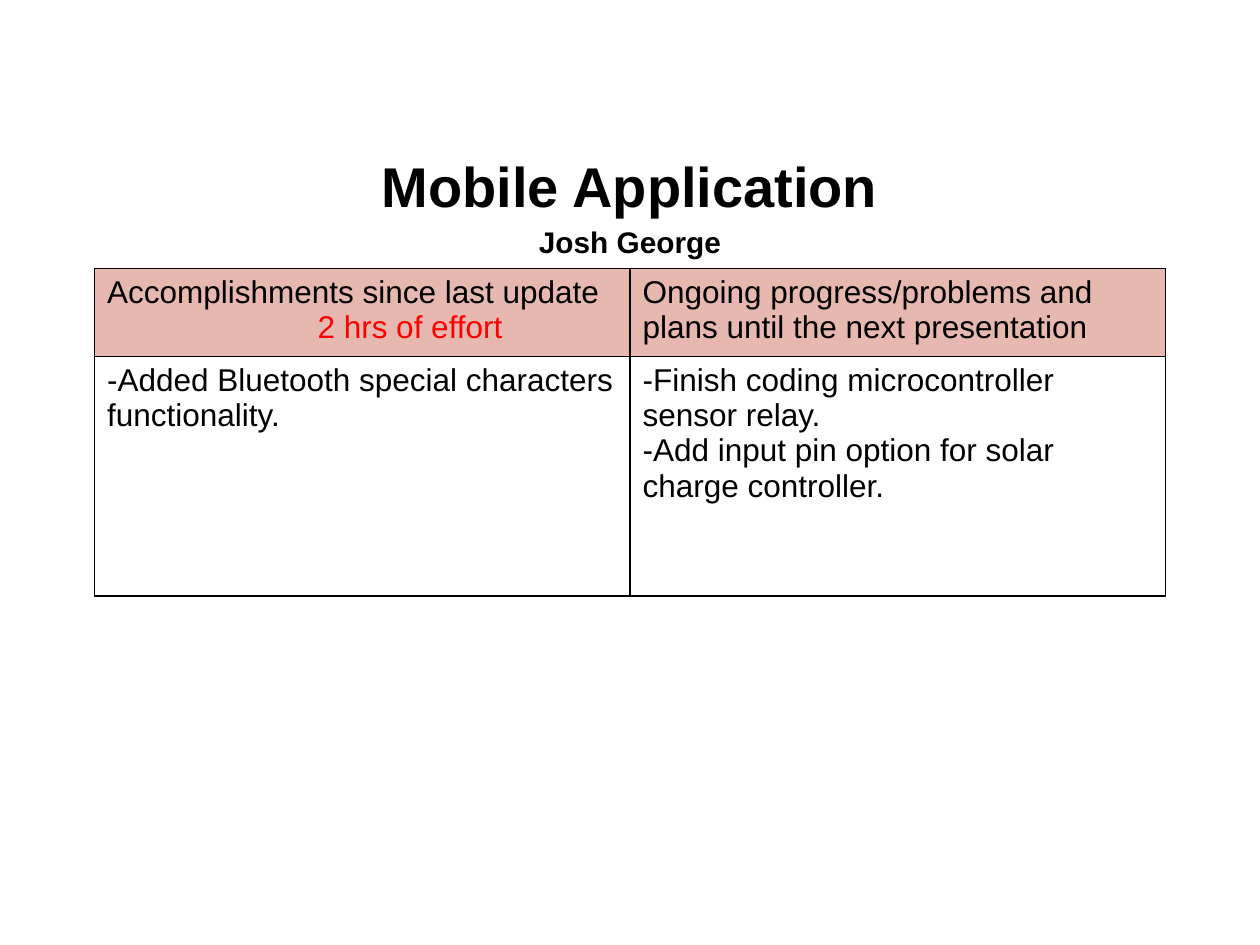
from dataclasses import dataclass
from typing import Optional

from lxml import etree
from pptx import Presentation
from pptx import util as u
from pptx.dml.color import RGBColor
from pptx.enum import text
from pptx.oxml import ns


@dataclass(frozen=True)
class Theme:
    font: str = "Arial"
    ink: str = "000000"
    effort: str = "FF0000"
    header: str = "E6B8AF"
    title_size: float = 32
    author_size: float = 17
    body_size: float = 18
    border: float = 1


@dataclass(frozen=True)
class Line:
    words: str
    size: float
    color: str
    bold: bool = False
    indent: float = 0


@dataclass(frozen=True)
class Entry:
    lines: tuple[Line, ...]
    fill: Optional[str] = None


THEME = Theme()


def body(words: str, color: str = THEME.ink, indent: float = 0) -> Line:
    return Line(words, THEME.body_size, color, indent=indent)


HEADING = (
    Line("Mobile Application", THEME.title_size, THEME.ink, bold=True),
    Line("Josh George", THEME.author_size, THEME.ink, bold=True),
)
ROWS = (
    (
        Entry((body("Accomplishments since last update"),
               body("2 hrs of effort", THEME.effort, indent=1.67)), THEME.header),
        Entry((body("Ongoing progress/problems and plans until the next presentation"),),
              THEME.header),
    ),
    (
        Entry((body("-Added Bluetooth special characters functionality."),)),
        Entry((body("-Finish coding microcontroller sensor relay."),
               body("-Add input pin option for solar charge controller."))),
    ),
)
ROW_HEIGHTS = (0.7, 1.9)
COLUMN_WIDTH = 4.25


def write(frame, lines: tuple[Line, ...], align, spacing: float = 1.0) -> None:
    for index, line in enumerate(lines):
        paragraph = frame.paragraphs[0] if index == 0 else frame.add_paragraph()
        paragraph.text = line.words
        paragraph.alignment = align
        paragraph.line_spacing = spacing
        paragraph.space_before = u.Pt(0)
        if line.indent:
            paragraph._p.get_or_add_pPr().set("marL", str(u.Inches(line.indent)))
        paragraph.font.name = THEME.font
        paragraph.font.size = u.Pt(line.size)
        paragraph.font.bold = line.bold
        paragraph.font.color.rgb = RGBColor.from_string(line.color)


def outline(cell) -> None:
    properties = cell._tc.get_or_add_tcPr()
    for side in ("a:lnL", "a:lnR", "a:lnT", "a:lnB"):
        edge = etree.SubElement(properties, ns.qn(side), w=str(u.Pt(THEME.border)))
        fill = etree.SubElement(edge, ns.qn("a:solidFill"))
        etree.SubElement(fill, ns.qn("a:srgbClr"), val=THEME.ink)


def draw_entry(cell, entry: Entry) -> None:
    outline(cell)
    if entry.fill:
        cell.fill.solid()
        cell.fill.fore_color.rgb = RGBColor.from_string(entry.fill)
    else:
        cell.fill.background()
    write(cell.text_frame, entry.lines, text.PP_ALIGN.LEFT)


def draw_heading(slide) -> None:
    title = slide.shapes.title
    title.left, title.top = u.Inches(0.5), u.Inches(1.15)
    title.width, title.height = u.Inches(9), u.Inches(0.88)
    frame = title.text_frame
    frame.auto_size = text.MSO_AUTO_SIZE.NONE
    frame.vertical_anchor = text.MSO_ANCHOR.MIDDLE
    write(frame, HEADING, text.PP_ALIGN.CENTER, spacing=1.15)


def draw_status(slide) -> None:
    columns = len(ROWS[0])
    status = slide.shapes.add_table(
        len(ROWS), columns, u.Inches(0.75), u.Inches(2.13),
        u.Inches(columns * COLUMN_WIDTH), u.Inches(sum(ROW_HEIGHTS))).table
    status.first_row = False
    status.horz_banding = False
    for column in status.columns:
        column.width = u.Inches(COLUMN_WIDTH)
    for row, height, entries in zip(status.rows, ROW_HEIGHTS, ROWS):
        row.height = u.Inches(height)
        for cell, entry in zip(row.cells, entries):
            draw_entry(cell, entry)


def main() -> None:
    deck = Presentation()
    deck.slide_width, deck.slide_height = u.Inches(10), u.Inches(7.5)
    slide = deck.slides.add_slide(deck.slide_layouts.get_by_name("Title Only"))
    draw_heading(slide)
    draw_status(slide)
    deck.save("out.pptx")


if __name__ == "__main__":
    main()
